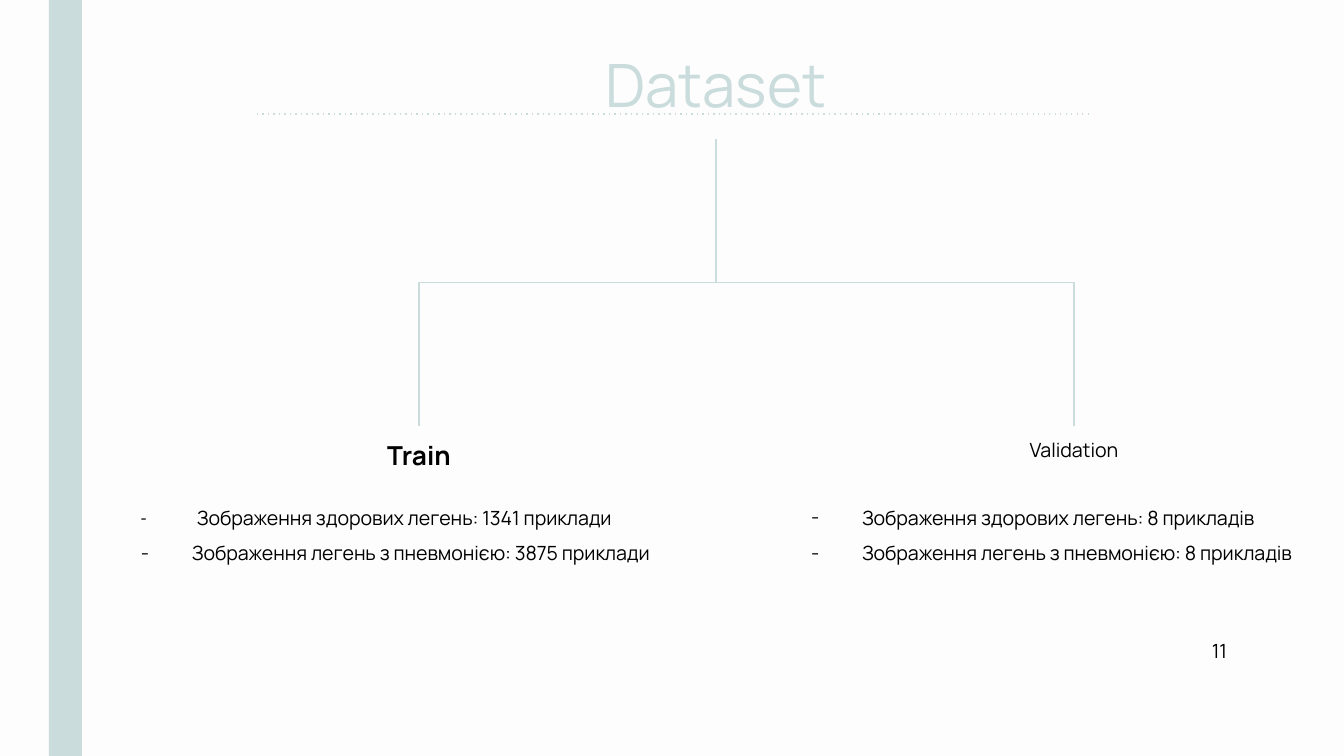
from lxml.etree import SubElement as Sub
from pptx import Presentation
from pptx.dml.color import RGBColor
from pptx.enum.shapes import MSO_CONNECTOR as Link, MSO_SHAPE as Shape
from pptx.enum.text import MSO_ANCHOR as Anchor, PP_ALIGN as Align
from pptx.oxml.ns import qn
from pptx.util import Emu, Pt

COLORS = {"page": "FDFDFD", "mint": "CADCDC", "ink": "000000"}
FONT = "Manrope"
INSET = 13
DASH = {"indent": 51, "font": FONT, "scale": 100}
SMALL = {"indent": 56, "font": "Times New Roman", "scale": 86}


def px(n):
    return Emu(round(n * 914400 / 134.4))


def rgb(name):
    return RGBColor.from_string(COLORS[name])


def add_bar(slide, *box):
    bar = slide.shapes.add_shape(Shape.RECTANGLE, *map(px, box))
    bar.shadow.inherit = False
    bar.fill.solid()
    bar.fill.fore_color.rgb = rgb("mint")
    bar.line.fill.background()


def set_dash(par, indent, font, scale):
    """Give the paragraph a hanging dash as its bullet."""
    props = par._p.get_or_add_pPr()
    props.set("marL", str(px(indent)))
    props.set("indent", str(-px(indent)))
    color = Sub(props, qn("a:buClr"))
    Sub(color, qn("a:srgbClr"), val=COLORS["ink"])
    Sub(props, qn("a:buSzPct"), val=str(scale * 1000))
    Sub(props, qn("a:buFont"), typeface=font)
    Sub(props, qn("a:buChar"), char="-")


def add_text(slide, box, *lines, size=10.5, color="ink", bold=False,
             align=Align.LEFT, space=1, after=0, left=0, dashes=()):
    shape = slide.shapes.add_textbox(*map(px, box))
    frame = shape.text_frame
    frame.word_wrap = True
    frame.vertical_anchor = Anchor.TOP
    frame.margin_left = frame.margin_right = px(INSET)
    frame.margin_top = frame.margin_bottom = px(INSET)
    for i, line in enumerate(lines):
        par = frame.add_paragraph() if i else frame.paragraphs[0]
        par.alignment = align
        par.line_spacing = space
        if left:
            par._p.get_or_add_pPr().set("marL", str(px(left)))
        run = par.add_run()
        run.text = line
        run.font.name = FONT
        run.font.size = Pt(size)
        run.font.bold = bold
        run.font.color.rgb = rgb(color)
        if dashes:
            set_dash(par, **dashes[i])
    par.space_after = Pt(after)
    return shape


def add_line(slide, kind, *ends):
    line = slide.shapes.add_connector(kind, *map(px, ends))
    line.line.color.rgb = rgb("mint")
    line.line.width = Pt(0.75)
    Sub(line._element.spPr, qn("a:effectLst"))
    return line


def add_rule(slide, *ends):
    rule = add_line(slide, Link.STRAIGHT, *ends)
    edge = rule._element.spPr.find(qn("a:ln"))
    Sub(edge, qn("a:prstDash"), val="dot")


def add_branch(slide, child, root):
    """Join the child's top to the root's bottom, leaving upright."""
    link = add_line(slide, Link.ELBOW, 0, 0, 0, 0)
    link.begin_connect(child, 0)
    link.end_connect(root, 2)
    x1, y1, x2, y2 = link.begin_x, link.begin_y, link.end_x, link.end_y
    wide, high = abs(x2 - x1), abs(y2 - y1)
    # The frame is turned a quarter, so its sides change places.
    link.left, link.top = (x1 + x2 - high) // 2, (y1 + y2 - wide) // 2
    link.width, link.height = high, wide
    right = x2 > x1
    frame = link._element.spPr.find(qn("a:xfrm"))
    frame.set("rot", str((90 if right else 270) * 60000))
    frame.set("flipH", "1" if right else "0")
    frame.set("flipV", "1")


def main():
    deck = Presentation()
    deck.slide_width, deck.slide_height = px(1344), px(756)
    slide = deck.slides.add_slide(deck.slide_layouts[6])
    back = slide.background.fill
    back.solid()
    back.fore_color.rgb = rgb("page")

    add_bar(slide, 49, -7, 33, 770)
    root = add_text(slide, (297, 35, 838, 104), "Dataset", size=32,
                    color="mint", align=Align.CENTER)
    train = add_text(slide, (220, 426, 398, 55), "Train", size=14,
                     bold=True, align=Align.CENTER)
    check = add_text(slide, (937, 426, 274, 47), "Validation",
                     align=Align.CENTER)
    for child in (train, check):
        add_branch(slide, child, root)

    add_text(slide, (128, 481, 612, 113),
             "Зображення здорових легень: 1341 приклади",
             "Зображення легень з пневмонією: 3875 приклади",
             space=1.5, after=8, dashes=(SMALL, DASH))
    add_text(slide, (798, 481, 571, 113),
             "Зображення здорових легень: 8 прикладів",
             "Зображення легень з пневмонією: 8 прикладів",
             space=1.5, after=8, dashes=(DASH, DASH))
    add_rule(slide, 1089, 114, 256, 114)
    add_text(slide, (1173, 622, 73, 66), "11", space=1.15, left=26)
    deck.save("out.pptx")


if __name__ == "__main__":
    main()
